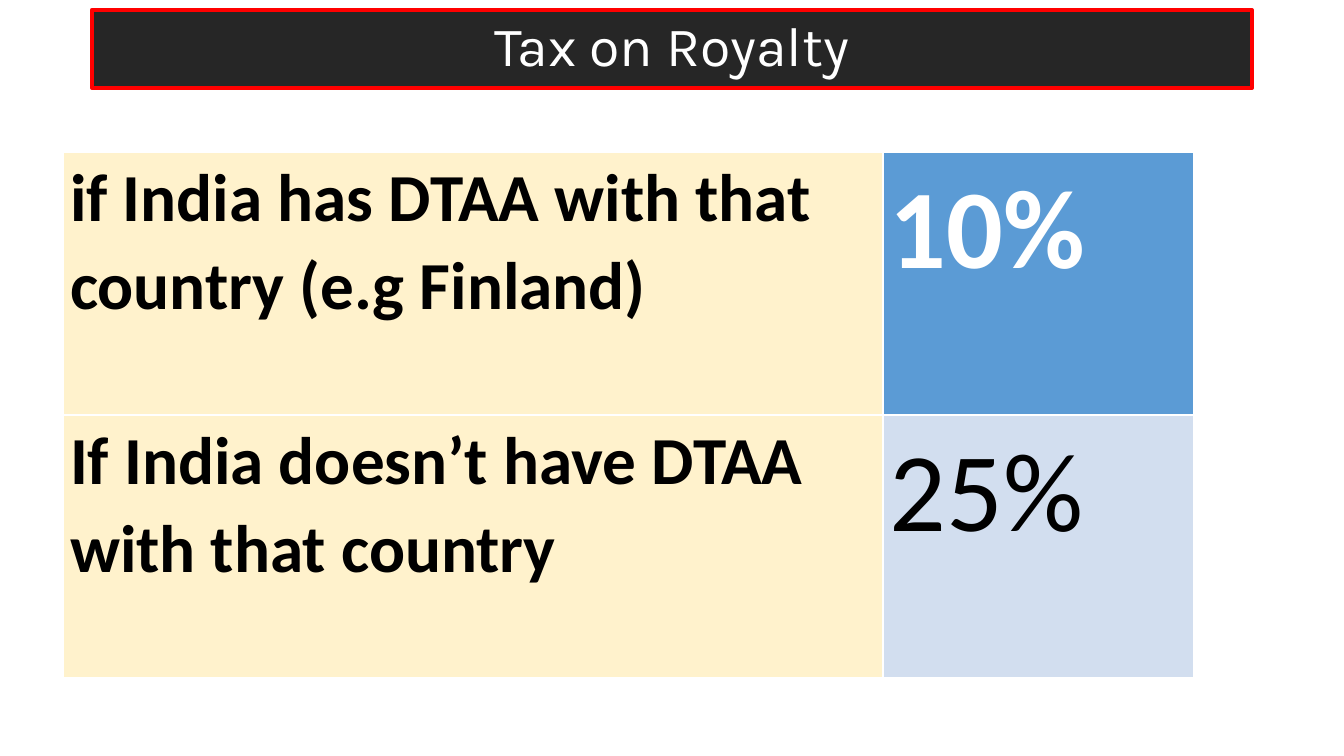
from lxml import etree
from pptx import Presentation
from pptx import util as u
from pptx.dml.color import RGBColor
from pptx.enum import text
from pptx.oxml import ns


def px(n):
    return u.Emu(round(n * 914400 / 100.8))


def put(frame, words, size, color, font="Calibri", bold=False, align=None, space=1.07):
    para = frame.paragraphs[0]
    para.alignment = align
    para.line_spacing = space
    run = para.add_run()
    run.text = words
    run.font.size = u.Pt(size)
    run.font.name = font
    run.font.bold = bold
    run.font.color.rgb = RGBColor.from_string(color)


deck = Presentation()
deck.slide_width, deck.slide_height = px(1344), px(756)
slide = deck.slides.add_slide(deck.slide_layouts[5])

rates = [
    ("if India has DTAA with that country (e.g Finland)", "10%", "FFFFFF", "5B9BD5", True),
    ("If India doesn’t have DTAA with that country", "25%", "000000", "D2DEEF", False),
]
frame = slide.shapes.add_table(2, 2, px(63), px(152), px(1131), px(526))
table = frame.table
table.horz_banding = False
table.columns[0].width = px(820)
table.columns[1].width = px(311)

for row, (case, rate, ink, fill, bold) in enumerate(rates):
    table.rows[row].height = px(263)
    cells = [(case, 48, "000000", "FFF2CC", True), (rate, 80, ink, fill, bold)]
    for col, (words, size, color, back, heavy) in enumerate(cells):
        cell = table.cell(row, col)
        cell.margin_left = cell.margin_right = px(7)
        cell.margin_top = cell.margin_bottom = 0
        cell.fill.solid()
        cell.fill.fore_color.rgb = RGBColor.from_string(back)
        put(cell.text_frame, words, size, color, bold=heavy)

title = slide.shapes.title
title.left, title.top, title.width, title.height = px(92), px(10), px(1160), px(78)
props = title.element.spPr
shape = etree.SubElement(props, ns.qn("a:prstGeom"), prst="roundRect")
guides = etree.SubElement(shape, ns.qn("a:avLst"))
etree.SubElement(guides, ns.qn("a:gd"), name="adj", fmla="val 0")
title.fill.solid()
title.fill.fore_color.rgb = RGBColor.from_string("262626")
title.line.color.rgb = RGBColor.from_string("FF0000")
title.line.width = u.Pt(3)
title.text_frame.vertical_anchor = text.MSO_ANCHOR.MIDDLE
title.text_frame.auto_size = text.MSO_AUTO_SIZE.NONE
put(title.text_frame, "Tax on Royalty", 39.6, "FFFFFF", font="Karla",
    align=text.PP_ALIGN.CENTER, space=0.9)

deck.save("out.pptx")
